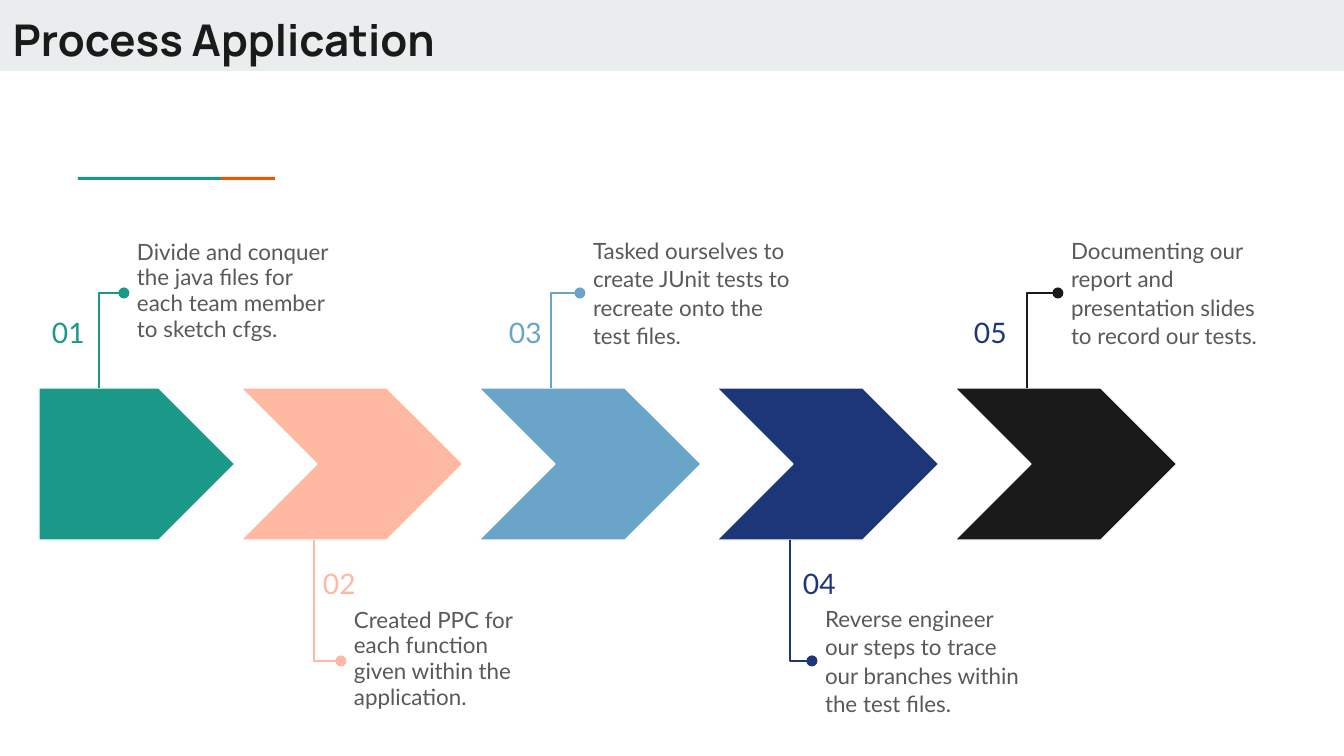
import pptx
import pptx.util
import pptx.dml.color
import pptx.enum.shapes
import pptx.enum.text
import lxml.etree
from pptx.oxml.ns import qn

RGB = pptx.dml.color.RGBColor
SHAPE = pptx.enum.shapes.MSO_SHAPE
CONNECTOR = pptx.enum.shapes.MSO_CONNECTOR
Pt = pptx.util.Pt

BAND = RGB(0xE9, 0xED, 0xEE)
TEAL = RGB(0x1A, 0x99, 0x88)
ORANGE = RGB(0xEB, 0x56, 0x00)
PEACH = RGB(0xFF, 0xB8, 0xA2)
SKY = RGB(0x6A, 0xA4, 0xC8)
NAVY = RGB(0x1C, 0x36, 0x78)
BLACK = RGB(0x1A, 0x1A, 0x1A)
GRAY = RGB(0x59, 0x59, 0x59)
WHITE = RGB(0xFF, 0xFF, 0xFF)

SCALE = 914400 / 134.4
ARROW_TOP, ARROW_HEIGHT, ARROW_STEP = 388, 152, 238

TITLE = {"name": "Manrope", "size": Pt(23.4), "bold": True}
NUMBER = {"name": "Lato", "size": Pt(15.1)}
BODY = {"name": "Lato", "size": Pt(12)}

STEPS = [
    (TEAL, TEAL, True, 39, 99, 124, (227, 233), 0.95,
     "Divide and conquer the java files for each team member to sketch cfgs."),
    (PEACH, PEACH, False, 310, 314, 341, (595, 216), 0.95,
     "Created PPC for each function given within the application."),
    (SKY, SKY, True, 496, 551, 580, (223, 233), 1.05,
     "Tasked ourselves to create JUnit tests to recreate onto the test files."),
    (NAVY, NAVY, False, 790, 790, 812, (591, 233), 1.05,
     "Reverse engineer our steps to trace our branches within the test files."),
    (BLACK, NAVY, True, 961, 1027, 1058, (223, 233), 1.05,
     "Documenting our report and presentation slides to record our tests."),
]


def px(n):
    return pptx.util.Emu(round(n * SCALE))


def box(*lengths):
    return [px(n) for n in lengths]


def add_block(s, kind, at, color, outline=None):
    sp = s.shapes.add_shape(kind, *box(*at))
    sp.shadow.inherit = False
    sp.fill.solid()
    sp.fill.fore_color.rgb = color
    if outline is None:
        sp.line.fill.background()
    else:
        sp.line.color.rgb = outline
        sp.line.width = Pt(0.75)


def add_text(s, at, text, fmt, color, spacing=1.0):
    tf = s.shapes.add_textbox(*box(*at)).text_frame
    frame = {"word_wrap": True, "vertical_anchor": pptx.enum.text.MSO_ANCHOR.TOP}
    for side in ("left", "right", "top", "bottom"):
        frame["margin_" + side] = px(13)
    for key, value in frame.items():
        setattr(tf, key, value)
    p = tf.paragraphs[0]
    p.line_spacing = spacing
    r = p.add_run()
    r.text = text
    for key, value in fmt.items():
        setattr(r.font, key, value)
    r.font.color.rgb = color


def add_leader(s, dot_x, dot_y, stem_x, stem_y, color):
    cxn = s.shapes.add_connector(CONNECTOR.ELBOW, *box(dot_x, dot_y, stem_x, stem_y))
    cxn.line.color.rgb = color
    cxn.line.width = Pt(0.75)
    sppr = cxn._element.spPr
    sppr.find(qn("a:prstGeom")).set("prst", "bentConnector2")
    lxml.etree.SubElement(sppr.find(qn("a:ln")), qn("a:headEnd"), type="oval")
    lxml.etree.SubElement(sppr, qn("a:effectLst"))


def add_step(s, i, step):
    color, number_color, above, number_x, stem_x, dot_x, body, spacing, text = step
    if i == 0:
        kind, left, width = SHAPE.PENTAGON, 39, 196
    else:
        kind, left, width = SHAPE.CHEVRON, 241 + ARROW_STEP * (i - 1), 222
    add_block(s, kind, (left, ARROW_TOP, width, ARROW_HEIGHT), color, WHITE)
    if above:
        dot_y, stem_y, number_y = 293, ARROW_TOP, 297
    else:
        dot_y, stem_y, number_y = 661, ARROW_TOP + ARROW_HEIGHT, 548
    add_leader(s, dot_x, dot_y, stem_x, stem_y, color)
    add_text(s, (number_x, number_y, 60, 52), f"{i + 1:02}", NUMBER, number_color, 1.15)
    body_y, body_width = body
    add_text(s, (dot_x, body_y, body_width, 140), text, BODY, GRAY, spacing)


def main():
    prs = pptx.Presentation()
    prs.slide_width, prs.slide_height = box(1344, 756)
    s = prs.slides.add_slide(prs.slide_layouts[6])
    add_block(s, SHAPE.RECTANGLE, (0, 0, 1344, 71), BAND)
    add_block(s, SHAPE.RECTANGLE, (78, 177, 143, 3), TEAL)
    add_block(s, SHAPE.RECTANGLE, (221, 177, 54, 3), ORANGE)
    add_text(s, (0, 0, 1130, 79), "Process Application", TITLE, BLACK)
    for i, step in enumerate(STEPS):
        add_step(s, i, step)
    prs.save("out.pptx")


if __name__ == "__main__":
    main()
